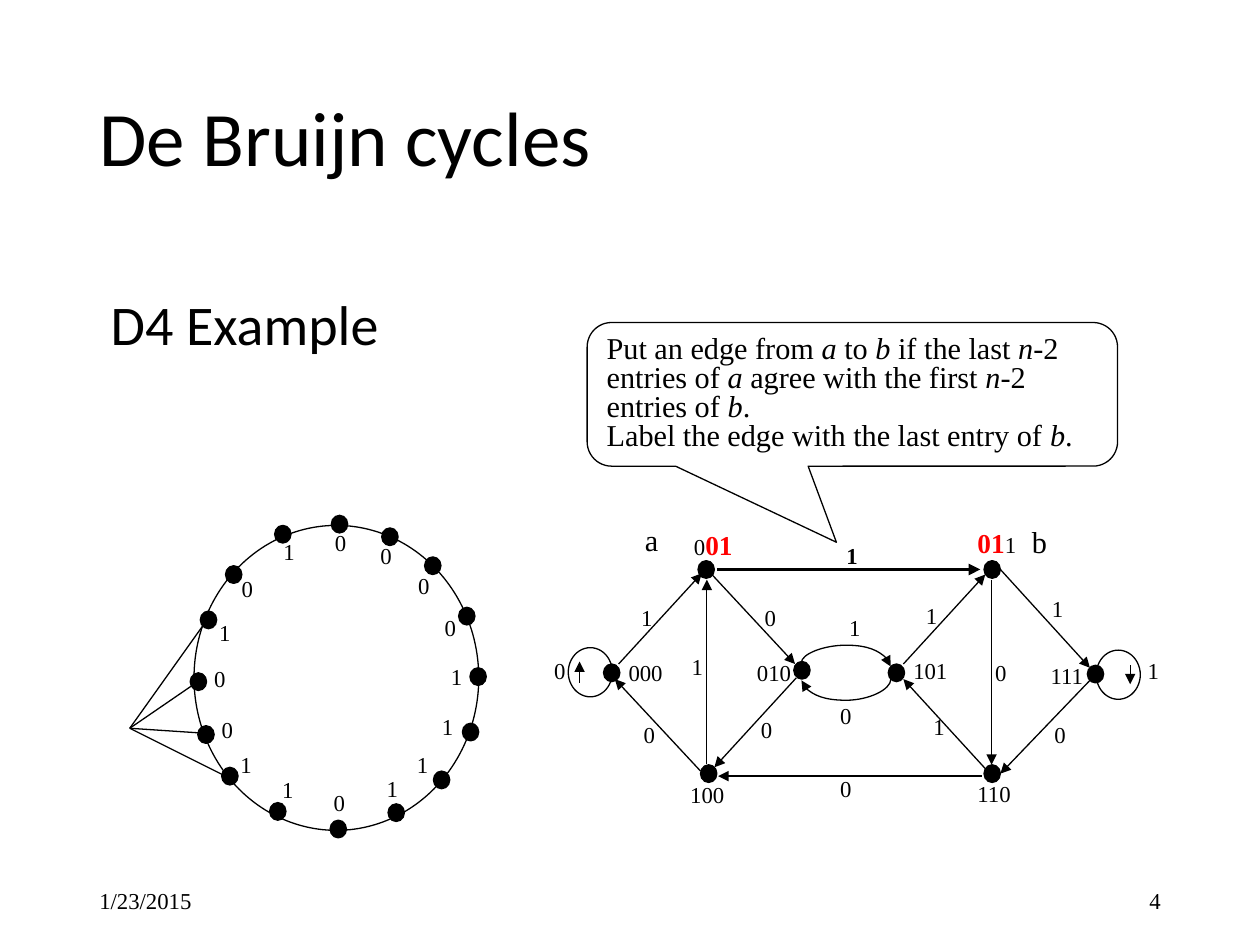
"""Build the De Bruijn cycles slide."""
from lxml import etree
from pptx import Presentation
from pptx.dml.color import RGBColor
from pptx.enum.shapes import MSO_CONNECTOR as Link, MSO_SHAPE as Shape
from pptx.enum.text import MSO_ANCHOR as Anchor, MSO_AUTO_SIZE as Fit, PP_ALIGN as Align
from pptx.oxml.ns import qn
from pptx.util import Inches, Pt

BLACK = RGBColor(0, 0, 0)
RED = RGBColor(255, 0, 0)
SERIF = "Times New Roman"

deck = Presentation()
deck.slide_width, deck.slide_height = Inches(10), Inches(7.5)
slide = deck.slides.add_slide(deck.slide_layouts[5])
shapes = slide.shapes


def write(para, text, size=13, font=SERIF, color=BLACK, bold=False, slant=False):
    run = para.add_run()
    run.text = text
    run.font.size, run.font.name = Pt(size), font
    run.font.color.rgb = color
    run.font.bold, run.font.italic = bold, slant


def link(x1, y1, x2, y2, arrow=True, width=0.75, kind=Link.STRAIGHT):
    line = shapes.add_connector(kind, Inches(x1), Inches(y1), Inches(x2), Inches(y2))
    line.line.color.rgb = BLACK
    line.line.width = Pt(width)
    if arrow:
        etree.SubElement(line.line._ln, qn("a:tailEnd"), type="triangle")
    etree.SubElement(line._element.spPr, qn("a:effectLst"))
    return line


title = shapes.title
title.left, title.top, title.width, title.height = map(Inches, (0.69, 0.4, 8.62, 1.45))
title.text_frame.vertical_anchor = Anchor.MIDDLE
para = title.text_frame.paragraphs[0]
para.alignment, para.line_spacing = Align.LEFT, 0.9
write(para, "De Bruijn cycles", 44, "Calibri")

cycle = [
    (2.63, 4.09), (3.03, 4.19), (3.37, 4.42), (3.64, 4.82), (3.73, 5.3),
    (3.67, 5.74), (3.44, 6.12), (3.08, 6.38), (2.62, 6.51), (2.14, 6.37),
    (1.76, 6.09), (1.57, 5.76), (1.51, 5.34), (1.59, 4.85), (1.79, 4.49),
    (2.18, 4.17),
]
nodes = [
    (5.54, 4.45), (7.81, 4.45), (5.56, 6.07), (7.81, 6.07),
    (6.3, 5.25), (7.05, 5.27), (4.79, 5.27), (8.63, 5.28),
]
rings = [(1.54, 4.17, 2.26, 2.42), (4.51, 5.14, 0.35, 0.39), (8.7, 5.16, 0.35, 0.39)]
dots = [(x, y, 0.13, 0.14) for x, y in cycle + nodes]
for box in dots + rings:
    oval = shapes.add_shape(Shape.OVAL, *map(Inches, box))
    oval.shadow.inherit = False
    oval.line.color.rgb, oval.line.width = BLACK, Pt(0.75)
    if box in rings:
        oval.fill.background()
    else:
        oval.fill.solid()
        oval.fill.fore_color.rgb = BLACK

for x, y in [(1.65, 4.91), (1.57, 5.41), (1.63, 5.82), (1.81, 6.17)]:
    link(x, y, 1.03, 5.78, arrow=False)

link(5.69, 4.52, 7.78, 4.52, width=2.25)
edges = [
    (7.79, 6.16, 5.7, 6.16), (7.87, 4.6, 7.87, 6.07), (5.61, 6.06, 5.61, 4.6),
    (5.65, 4.56, 6.31, 5.27), (6.32, 5.38, 5.67, 6.09), (7.17, 5.27, 7.82, 4.56),
    (7.82, 6.1, 7.17, 5.39), (4.91, 5.27, 5.57, 4.55), (5.56, 6.12, 4.88, 5.39),
    (7.94, 4.52, 8.65, 5.3), (8.66, 5.39, 7.94, 6.14),
    (4.6, 5.42, 4.6, 5.25), (8.97, 5.28, 8.97, 5.43),
]
for edge in edges:
    link(*edge)

for x, y, wide, bend, flip in [(6.7, 4.92, 0.03, -4.67, "1"), (6.71, 5.04, 0.01, 17, "0")]:
    curve = link(x, y, x + wide, y + 0.71, kind=Link.CURVE)
    frame = curve._element.spPr.find(qn("a:xfrm"))
    frame.set("rot", "5400000")
    frame.set("flipV", flip)
    geom = curve._element.spPr.find(qn("a:prstGeom"))
    guides = geom.find(qn("a:avLst"))
    if guides is None:
        guides = etree.SubElement(geom, qn("a:avLst"))
    etree.SubElement(guides, qn("a:gd"), name="adj1", fmla=f"val {round(bend * 100000)}")

marks = {
    "0": [
        (2.56, 4.15), (2.92, 4.25), (3.22, 4.49), (3.43, 4.82), (2.55, 6.21),
        (1.66, 5.63), (1.6, 5.23), (1.82, 4.51),
        (4.3, 5.16), (5.01, 5.67), (5.94, 5.63), (5.97, 4.74), (6.57, 6.1),
        (6.57, 5.52), (7.8, 5.18), (8.27, 5.67),
    ],
    "1": [
        (3.48, 5.21), (3.41, 5.61), (3.21, 5.91), (2.97, 6.1), (2.14, 6.11),
        (1.81, 5.91), (1.64, 4.86), (2.15, 4.22),
        (4.99, 4.74), (5.39, 5.13), (6.62, 4.25), (6.64, 4.82), (7.25, 4.73),
        (8.25, 4.67), (9.01, 5.16), (7.31, 5.61),
    ],
    "000": [(4.89, 5.18)], "100": [(5.38, 6.15)], "010": [(5.91, 5.18)],
    "101": [(7.15, 5.16)], "110": [(7.66, 6.14)], "111": [(8.24, 5.2)],
}
widths = {"0": 0.25, "1": 0.2}
bold = (6.62, 4.25)
texts = [
    (x, y, widths.get(mark, 0.47), 0.32, [(mark, {"bold": (x, y) == bold})])
    for mark, spots in marks.items() for x, y in spots
]
red = {"size": 15.6, "color": RED, "bold": True}
texts += [
    (5.41, 4.14, 0.54, 0.36, [("0", {}), ("01", red)]),
    (7.66, 4.13, 0.54, 0.36, [("01", red), ("1", {})]),
    (5.02, 4.09, 0.34, 0.39, [("a", {"size": 17.3})]),
    (8.09, 4.1, 0.31, 0.39, [("b", {"size": 17.3})]),
    (0.78, 2.25, 3.01, 0.64, [("D4 Example", {"size": 32, "font": "Calibri"})]),
    (0.69, 6.95, 2.25, 0.4, [("1/23/2015", {})]),
    (7.06, 6.95, 2.25, 0.4, [("4", {})]),
]
for x, y, wide, high, runs in texts:
    box = shapes.add_textbox(*map(Inches, (x, y, wide, high)))
    body = box.text_frame
    body.word_wrap = wide not in (0.47, 0.54)
    if not body.word_wrap:
        body.auto_size = Fit.SHAPE_TO_FIT_TEXT
    para = body.paragraphs[0]
    if y == 6.95:
        body.vertical_anchor = Anchor.MIDDLE
        para.alignment = Align.RIGHT if x > 5 else Align.LEFT
    for text, style in runs:
        write(para, text, **style)

note = shapes.add_shape(Shape.ROUNDED_RECTANGULAR_CALLOUT, *map(Inches, (4.66, 2.56, 4.21, 1.14)))
note.shadow.inherit = False
note.fill.background()
note.line.color.rgb, note.line.width = BLACK, Pt(0.75)
for i, value in enumerate((-0.03, 1.03, 0.17)):
    note.adjustments[i] = value
body = note.text_frame
body.word_wrap, body.vertical_anchor = True, Anchor.TOP
rules = [
    ["Put an edge from ", "a", " to ", "b", " if the last ", "n", "-2 entries of ", "a",
     " agree with the first ", "n", "-2 entries of ", "b", ". "],
    ["Label the edge with the last entry of ", "b", ". "],
]
for i, rule in enumerate(rules):
    para = body.add_paragraph() if i else body.paragraphs[0]
    para.alignment, para.line_spacing = Align.LEFT, 0.8
    for text in rule:
        write(para, text, 17.3, slant=text in ("a", "b", "n"))

deck.save("out.pptx")
